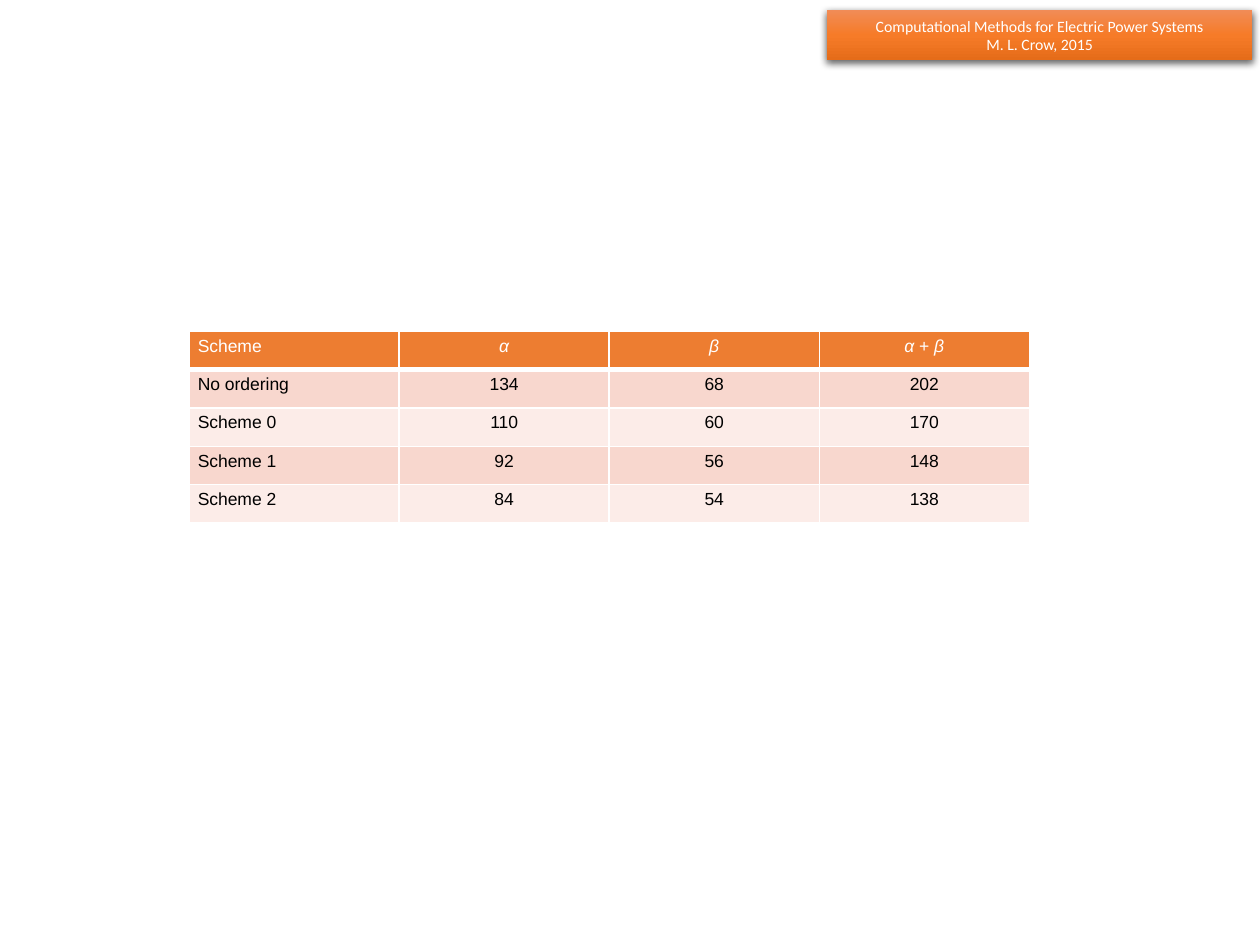
"""Builds a slide with a book banner and a table comparing ordering schemes."""
from lxml.etree import SubElement
from pptx import Presentation
from pptx.dml.color import RGBColor
from pptx.enum.shapes import MSO_SHAPE
from pptx.enum.text import MSO_ANCHOR, PP_ALIGN
from pptx.oxml.ns import qn
from pptx.util import Inches, Pt

WHITE = RGBColor(0xFF, 0xFF, 0xFF)
BLACK = RGBColor(0x00, 0x00, 0x00)
ORANGE = RGBColor(0xED, 0x7D, 0x31)
BANDS = [RGBColor(0xFC, 0xEC, 0xE8), RGBColor(0xF8, 0xD7, 0xCE)]
BANNER_STOPS = [
    (0, RGBColor(0xF1, 0x8C, 0x57)),
    (50, RGBColor(0xF6, 0x7B, 0x28)),
    (100, RGBColor(0xE5, 0x6C, 0x19)),
]

BANNER_LINES = ["Computational Methods for Electric Power Systems", "M. L. Crow, 2015"]
ROWS = [
    ["Scheme", "α", "β", "α + β"],
    ["No ordering", "134", "68", "202"],
    ["Scheme 0", "110", "60", "170"],
    ["Scheme 1", "92", "56", "148"],
    ["Scheme 2", "84", "54", "138"],
]
GREEK = "αβ"

SLIDE_SIZE = Inches(10), Inches(7.5)
BANNER_AREA = [Inches(n) for n in (6.56, 0.08, 3.38, 0.4)]
TABLE_LEFT, TABLE_TOP, TABLE_WIDTH = Inches(1.5), Inches(2.63), Inches(6.67)
ROW_HEIGHT = Inches(1.52) // len(ROWS)
INSETS = {
    "margin_left": Inches(0.07),
    "margin_right": Inches(0.07),
    "margin_top": Inches(0.04),
    "margin_bottom": Inches(0.04),
}
BANNER_FONT = {"name": "Calibri", "size": Pt(9), "bold": False}
TABLE_FONT = {"name": "Arial", "size": Pt(10), "bold": False}


def apply(target, values):
    for name, value in values.items():
        setattr(target, name, value)


def add_span(para, text, values, color):
    span = para.add_run()
    span.text = text
    apply(span.font, values)
    span.font.color.rgb = color


def add_color(parent, color):
    return SubElement(parent, qn("a:srgbClr"), val=str(color))


def add_banner(page):
    box = page.shapes.add_shape(MSO_SHAPE.RECTANGLE, *BANNER_AREA)
    box.fill.gradient()
    box.fill.gradient_angle = 270
    box.line.fill.background()
    box.shadow.inherit = False
    properties = box.element.spPr
    stops = properties.find(".//" + qn("a:gsLst"))
    stops.clear()
    for share, color in BANNER_STOPS:
        add_color(SubElement(stops, qn("a:gs"), pos=str(share * 1000)), color)
    shadow = SubElement(
        properties.find(qn("a:effectLst")), qn("a:outerShdw"),
        blurRad=str(Pt(4.5)), dist=str(Pt(1.5)), dir="5400000", rotWithShape="0",
    )
    SubElement(add_color(shadow, BLACK), qn("a:alpha"), val="63000")

    frame = box.text_frame
    apply(frame, {**INSETS, "word_wrap": True, "vertical_anchor": MSO_ANCHOR.MIDDLE})
    for index, line in enumerate(BANNER_LINES):
        para = frame.add_paragraph() if index else frame.paragraphs[0]
        para.alignment = PP_ALIGN.CENTER
        add_span(para, line, BANNER_FONT, WHITE)


def add_borders(cell, is_header):
    properties = cell._tc.get_or_add_tcPr()
    for side in "LRTB":
        width = Pt(3 if is_header and side == "B" else 1)
        line = SubElement(properties, qn("a:ln" + side), w=str(width))
        add_color(SubElement(line, qn("a:solidFill")), WHITE)


def add_scheme_table(page):
    size = len(ROWS), len(ROWS[0])
    table = page.shapes.add_table(
        *size, TABLE_LEFT, TABLE_TOP, TABLE_WIDTH, ROW_HEIGHT * len(ROWS)
    ).table
    for row_index, values in enumerate(ROWS):
        is_header = row_index == 0
        for column_index, value in enumerate(values):
            cell = table.cell(row_index, column_index)
            apply(cell, INSETS)
            add_borders(cell, is_header)
            cell.fill.solid()
            cell.fill.fore_color.rgb = ORANGE if is_header else BANDS[row_index % 2]
            para = cell.text_frame.paragraphs[0]
            para.alignment = PP_ALIGN.CENTER if column_index else PP_ALIGN.LEFT
            parts = value.partition("+ ") if is_header else [value]
            for part in filter(None, parts):
                font = {**TABLE_FONT, "italic": part.strip() in GREEK}
                add_span(para, part, font, WHITE if is_header else BLACK)


def main():
    deck = Presentation()
    deck.slide_width, deck.slide_height = SLIDE_SIZE
    page = deck.slides.add_slide(deck.slide_layouts[6])
    add_banner(page)
    add_scheme_table(page)
    deck.save("out.pptx")


if __name__ == "__main__":
    main()
